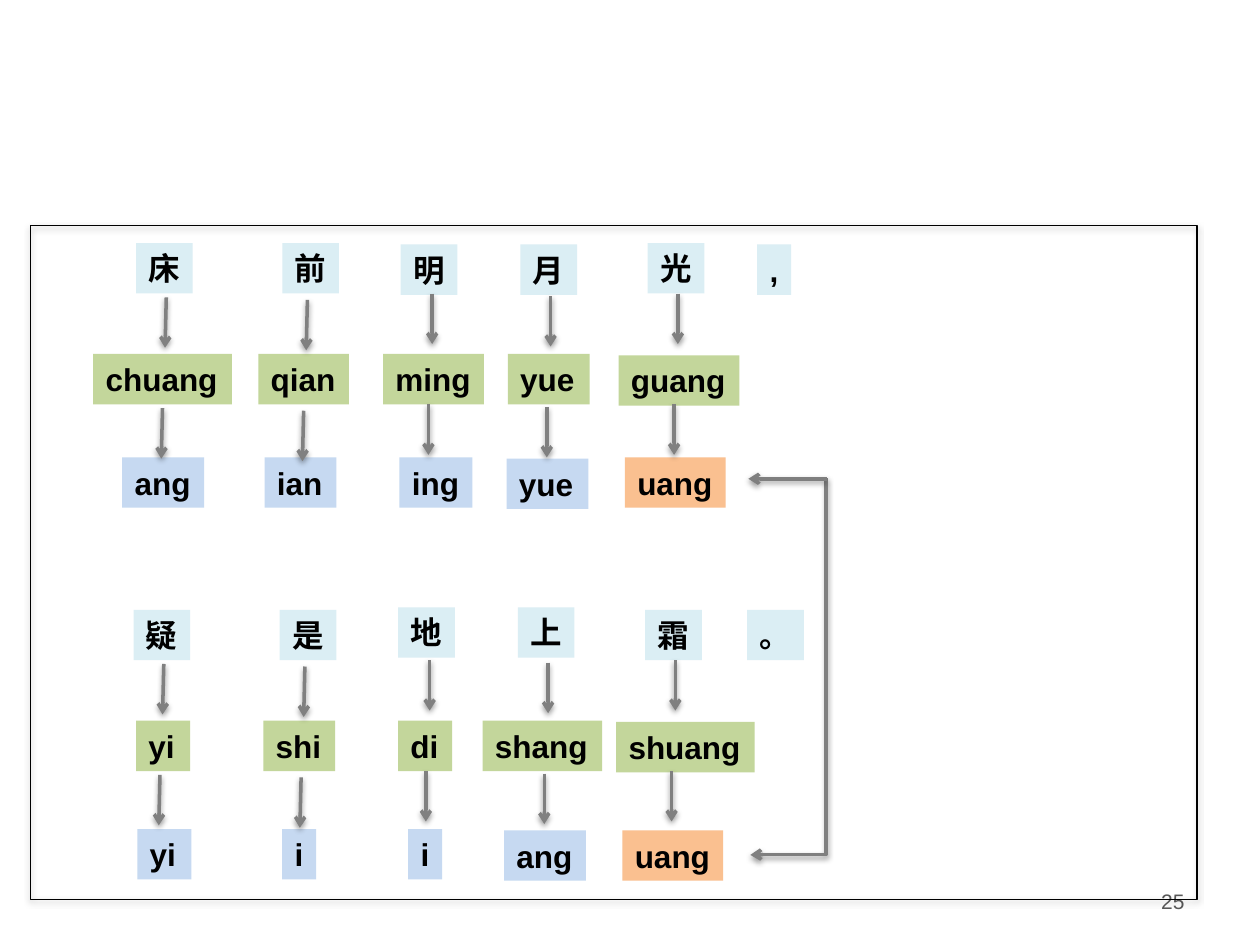
from typing import NamedTuple

from pptx import Presentation
from pptx.dml.color import RGBColor
from pptx.enum.shapes import MSO_CONNECTOR, MSO_SHAPE
from pptx.enum.text import MSO_ANCHOR, MSO_AUTO_SIZE, PP_ALIGN
from pptx.oxml import parse_xml
from pptx.oxml.ns import nsdecls, qn
from pptx.util import Emu, Pt

RECT = MSO_SHAPE.RECTANGLE
LINE, ELBOW = MSO_CONNECTOR.STRAIGHT, MSO_CONNECTOR.ELBOW
MIDDLE, RIGHT = MSO_ANCHOR.MIDDLE, PP_ALIGN.RIGHT
FIT = MSO_AUTO_SIZE.SHAPE_TO_FIT_TEXT

SCALE = 9144  # EMU per px, 100 px to the inch
FONT = "Arial"
BLACK, GREY, DARK = "000000", "808080", "7F7F7F"
PALE, GREEN, BLUE, ORANGE = "DBEEF4", "C3D69B", "C6D9F1", "FAC090"
BOX_H = 40
DROP = 40  # height of a down arrow


class Box(NamedTuple):
    text: str
    x: int
    y: int
    w: int
    fill: str


class Arrow(NamedTuple):
    x: int
    y: int
    lean: int


# Character, pinyin and final of each syllable, verse by verse
BOXES = [
    Box("床", 108, 193, 45, PALE),
    Box("前", 224, 193, 45, PALE),
    Box("明", 318, 194, 45, PALE),
    Box("月", 413, 194, 45, PALE),
    Box("光", 514, 193, 45, PALE),
    Box(",", 601, 194, 27, PALE),
    Box("chuang", 74, 281, 110, GREEN),
    Box("qian", 205, 281, 72, GREEN),
    Box("ming", 304, 281, 80, GREEN),
    Box("yue", 403, 281, 65, GREEN),
    Box("guang", 491, 282, 96, GREEN),
    Box("ang", 97, 363, 65, BLUE),
    Box("ian", 210, 363, 57, BLUE),
    Box("ing", 317, 363, 58, BLUE),
    Box("yue", 402, 364, 65, BLUE),
    Box("uang", 496, 363, 80, ORANGE),
    Box("疑", 106, 484, 45, PALE),
    Box("是", 222, 484, 45, PALE),
    Box("地", 316, 482, 45, PALE),
    Box("上", 411, 482, 45, PALE),
    Box("霜", 512, 484, 45, PALE),
    Box("。", 593, 484, 45, PALE),
    Box("yi", 108, 572, 43, GREEN),
    Box("shi", 209, 572, 57, GREEN),
    Box("di", 316, 572, 43, GREEN),
    Box("shang", 383, 572, 95, GREEN),
    Box("shuang", 489, 573, 110, GREEN),
    Box("yi", 109, 658, 43, BLUE),
    Box("i", 224, 658, 27, BLUE),
    Box("i", 324, 658, 27, BLUE),
    Box("ang", 400, 659, 65, BLUE),
    Box("uang", 494, 659, 80, ORANGE),
]

# Arrows of the first row; the other rows repeat them at an offset
ARROWS = [
    Arrow(132, 236, 1),
    Arrow(244, 238, 1),
    Arrow(343, 233, 0),
    Arrow(437, 235, 0),
    Arrow(538, 233, 0),
]
VERSES = [(0, 0), (-2, 291)]
STEPS = [(0, 0), (-3, 88)]


def px(*vals: int) -> list[Emu]:
    return [Emu(val * SCALE) for val in vals]


def rgb(code: str) -> RGBColor:
    return RGBColor.from_string(code)


def cast(shape, alpha: int, dist: int) -> None:
    """Give a shape a soft shadow straight below it."""
    shape.element.spPr.append(parse_xml(
        f'<a:effectLst {nsdecls("a")}><a:outerShdw blurRad="40000" '
        f'dist="{dist}" dir="5400000" rotWithShape="0"><a:srgbClr val="{BLACK}">'
        f'<a:alpha val="{alpha * 1000}"/></a:srgbClr></a:outerShdw></a:effectLst>'))


def write(frame, text: str, size: int, color: str, bold: bool = False):
    para = frame.paragraphs[0]
    para.text = text
    font = para.font
    font.name, font.size, font.bold = FONT, Pt(size), bold
    font.color.rgb = rgb(color)
    return para


def draw_box(slide, box: Box) -> None:
    shape = slide.shapes.add_textbox(*px(box.x, box.y, box.w, BOX_H))
    shape.fill.solid()
    shape.fill.fore_color.rgb = rgb(box.fill)
    frame = shape.text_frame
    frame.word_wrap = False
    frame.auto_size = FIT
    write(frame, box.text, 18, BLACK, True)


def draw_arrow(slide, kind, ends: tuple[int, int, int, int], color: str):
    line = slide.shapes.add_connector(kind, *px(*ends))
    line.line.color.rgb = rgb(color)
    line.line.width = Pt(2)
    line.element.spPr.find(qn("a:ln")).append(
        parse_xml(f'<a:tailEnd {nsdecls("a")} type="arrow"/>'))
    cast(line, 38, 20000)
    return line


def draw_frame(slide) -> None:
    frame = slide.shapes.add_shape(RECT, *px(24, 179, 926, 535))
    frame.fill.background()
    frame.line.color.rgb = rgb(BLACK)
    frame.line.width = Pt(0.75)
    cast(frame, 35, 23000)


def draw_number(slide) -> None:
    shape = slide.shapes.add_textbox(*px(717, 695, 233, 40))
    frame = shape.text_frame
    frame.word_wrap = True
    frame.vertical_anchor = MIDDLE
    write(frame, "25", 12, "595959").alignment = RIGHT


def draw_rhyme(slide) -> None:
    """Link the two rhyming finals with a bracket of arrows."""
    bend = draw_arrow(slide, ELBOW, (476, 499, 775, 559), DARK)
    props = bend.element.spPr
    props.find(qn("a:xfrm")).set("rot", "5400000")
    geom = props.find(qn("a:prstGeom"))
    for old in list(geom):
        geom.remove(old)
    geom.append(parse_xml(
        f'<a:avLst {nsdecls("a")}><a:gd name="adj1" fmla="val 99900"/></a:avLst>'))
    draw_arrow(slide, LINE, (656, 380, 594, 380), DARK)


def main() -> None:
    deck = Presentation()
    deck.slide_width, deck.slide_height = px(1000, 750)
    slide = deck.slides.add_slide(deck.slide_layouts[6])

    # Page number and frame
    draw_number(slide)
    draw_frame(slide)

    # Syllables
    for box in BOXES:
        draw_box(slide, box)

    # Down arrows
    for vx, vy in VERSES:
        for sx, sy in STEPS:
            for x, y, lean in ARROWS:
                left, top = x + vx + sx, y + vy + sy
                draw_arrow(slide, LINE, (left, top, left - lean, top + DROP), GREY)

    # Rhyme bracket
    draw_rhyme(slide)
    deck.save("out.pptx")


if __name__ == "__main__":
    main()
